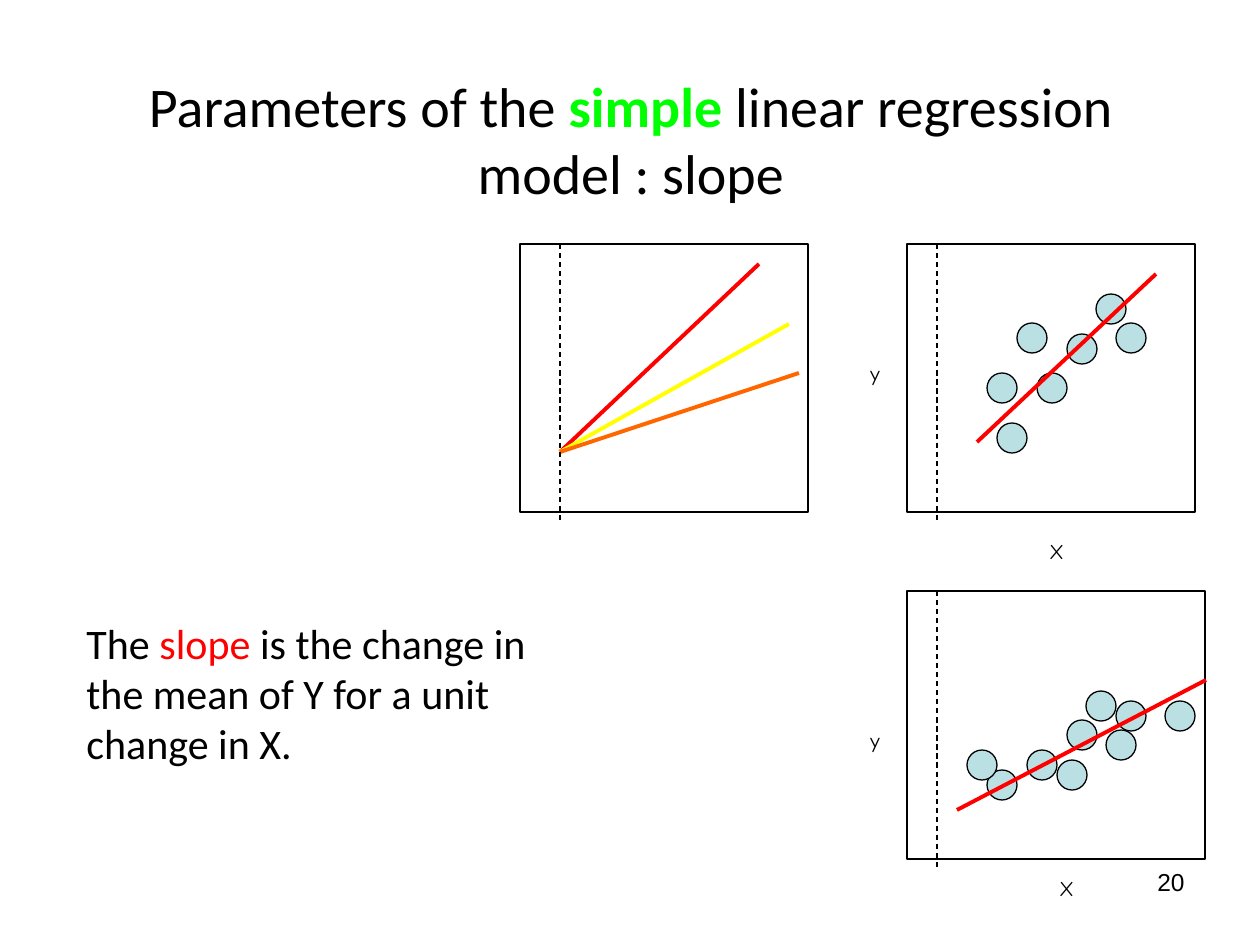
from pptx import Presentation
from pptx.dml.color import RGBColor
from pptx.enum.dml import MSO_LINE
from pptx.enum.shapes import MSO_CONNECTOR, MSO_SHAPE
from pptx.enum.text import MSO_ANCHOR, PP_ALIGN
from pptx.oxml.ns import qn
from pptx.util import Emu, Pt
from lxml.etree import SubElement

SCALE = 914400 / 126
COLORS = {"black": "000000", "red": "FF0000", "green": "00FF00",
          "yellow": "FFFF00", "orange": "FF6600", "dot": "BBE0E3"}
DOT = 30
AXIS_OVERHANG = 278

TITLE = [("Parameters of the ", "black", False), ("simple", "green", True),
         (" linear regression model : slope", "black", False)]
DEFINITION = [("The ", "black", False), ("slope", "red", False),
              (" is the change in the mean of Y for a unit change in X.", "black", False)]

PLOTS = [
    {"frame": (520, 244, 288, 268), "axis": 560, "dots": [], "labels": [],
     "lines": [(560, 452, 759, 264, "red"), (560, 452, 789, 324, "yellow"),
               (560, 452, 799, 373, "orange")]},
    {"frame": (907, 244, 288, 268), "axis": 937,
     "dots": [(1052, 388), (1012, 438), (1032, 338), (1131, 338), (1082, 349),
              (1111, 309), (1002, 388)],
     "lines": [(977, 442, 1156, 274, "red")],
     "labels": [("X", 1037, 532), ("y", 858, 354)]},
    {"frame": (907, 591, 298, 268), "axis": 937,
     "dots": [(1042, 765), (1101, 706), (1072, 775), (1082, 735), (1131, 716),
              (1121, 745), (1180, 716), (1002, 785), (982, 765)],
     "lines": [(957, 810, 1206, 680, "red")],
     "labels": [("X", 1047, 869), ("y", 858, 721)]},
]


def px(n):
    return Emu(round(n * SCALE))


def rgb(name):
    return RGBColor.from_string(COLORS[name])


def add_text(s, runs, box, size, font="Calibri", align=PP_ALIGN.LEFT, anchor=MSO_ANCHOR.TOP):
    tf = s.shapes.add_textbox(*map(px, box)).text_frame
    tf.word_wrap = True
    tf.vertical_anchor = anchor
    p = tf.paragraphs[0]
    p.alignment = align
    for text, color, bold in runs:
        r = p.add_run()
        r.text = text
        r.font.name = font
        r.font.size = Pt(size)
        r.font.bold = bold
        r.font.color.rgb = rgb(color)


def add_outline(s, kind, box, fill=None):
    sp = s.shapes.add_shape(kind, *map(px, box))
    sp.shadow.inherit = False
    if fill:
        sp.fill.solid()
        sp.fill.fore_color.rgb = rgb(fill)
    else:
        sp.fill.background()
    sp.line.color.rgb = rgb("black")
    sp.line.width = Pt(0.75)


def add_line(s, ends, color, width, dash=None):
    line = s.shapes.add_connector(MSO_CONNECTOR.STRAIGHT, *map(px, ends))
    line.line.color.rgb = rgb(color)
    line.line.width = Pt(width)
    if dash:
        line.line.dash_style = dash
    SubElement(line._element.spPr, qn("a:effectLst"))


def add_plot(s, plot):
    top = plot["frame"][1]
    add_outline(s, MSO_SHAPE.RECTANGLE, plot["frame"])
    for x, y in plot["dots"]:
        add_outline(s, MSO_SHAPE.OVAL, (x - DOT / 2, y - DOT / 2, DOT, DOT), "dot")
    for *ends, color in plot["lines"]:
        add_line(s, ends, color, 2.25)
    axis = plot["axis"]
    add_line(s, (axis, top, axis, top + AXIS_OVERHANG), "black", 0.75, MSO_LINE.DASH)
    for text, x, y in plot["labels"]:
        add_text(s, [(text, "black", False)], (x, y, 40, 38), 12, "Comic Neue")


def main():
    prs = Presentation()
    prs.slide_width, prs.slide_height = px(1260), px(945)
    s = prs.slides.add_slide(prs.slide_layouts[6])
    add_text(s, TITLE, (64, 35, 1134, 207), 32, align=PP_ALIGN.CENTER, anchor=MSO_ANCHOR.MIDDLE)
    for plot in PLOTS:
        add_plot(s, plot)
    add_text(s, DEFINITION, (74, 611, 496, 164), 24)
    add_text(s, [("20", "black", False)], (903, 861, 294, 66), 14, "Arial", PP_ALIGN.RIGHT)
    prs.save("out.pptx")


if __name__ == "__main__":
    main()
